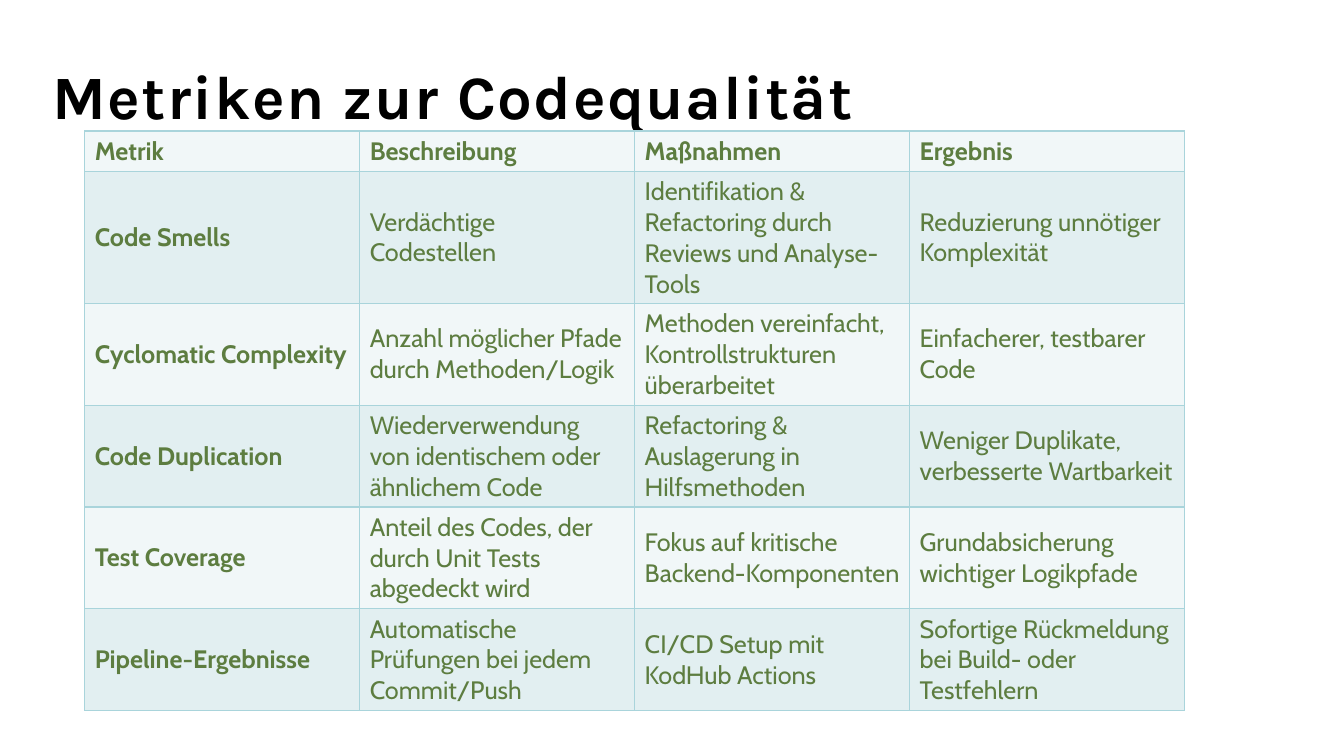
from lxml import etree
from pptx import Presentation
from pptx.dml.color import RGBColor
from pptx.enum.text import MSO_ANCHOR
from pptx.oxml.ns import qn
from pptx.util import Inches, Pt

MIDDLE = MSO_ANCHOR.MIDDLE
BOTTOM = MSO_ANCHOR.BOTTOM
GREEN = "5D7D40"
BORDER = "A9D4DB"
BANDS = ("F1F7F8", "E2EFF1")
HEIGHTS = (0.4, 1.31, 1.01, 1.01, 1.01, 1.01)
METRICS = (
    ("Metrik", "Beschreibung", "Maßnahmen", "Ergebnis"),
    ("Code Smells", "Verdächtige Codestellen",
     "Identifikation & Refactoring durch Reviews und Analyse-Tools",
     "Reduzierung unnötiger Komplexität"),
    ("Cyclomatic Complexity", "Anzahl möglicher Pfade durch Methoden/Logik",
     "Methoden vereinfacht, Kontrollstrukturen überarbeitet",
     "Einfacherer, testbarer Code"),
    ("Code Duplication", "Wiederverwendung von identischem oder ähnlichem Code",
     "Refactoring & Auslagerung in Hilfsmethoden",
     "Weniger Duplikate, verbesserte Wartbarkeit"),
    ("Test Coverage", "Anteil des Codes, der durch Unit Tests abgedeckt wird",
     "Fokus auf kritische Backend-Komponenten",
     "Grundabsicherung wichtiger Logikpfade"),
    ("Pipeline-Ergebnisse", "Automatische Prüfungen bei jedem Commit/Push",
     "CI/CD Setup mit KodHub Actions",
     "Sofortige Rückmeldung bei Build- oder Testfehlern"),
)


def color(code):
    """Turn a hex string into a colour."""
    return RGBColor.from_string(code)


def style(font, name, size, code, bold):
    """Set face, size, colour and weight of a font."""
    font.name = name
    font.size = Pt(size)
    font.color.rgb = color(code)
    font.bold = bold


def add_title(slide, text, left, top, width, height):
    """Place the spaced headline at the bottom of its box."""
    box = slide.shapes.add_textbox(
        Inches(left), Inches(top), Inches(width), Inches(height))
    frame = box.text_frame
    frame.word_wrap = True
    frame.vertical_anchor = BOTTOM
    frame.margin_left = frame.margin_right = 0
    frame.margin_top = frame.margin_bottom = 0
    line = frame.paragraphs[0]
    line.line_spacing = 0.8
    run = line.add_run()
    run.text = text
    style(run.font, "Karla", 44, "000000", True)
    run.font._element.set("spc", "100")


def add_border(cell):
    """Draw a thin line on all four sides of a cell."""
    props = cell._tc.get_or_add_tcPr()
    for index, side in enumerate(("a:lnL", "a:lnR", "a:lnT", "a:lnB")):
        line = etree.Element(qn(side), w=str(Pt(1)))
        fill = etree.SubElement(line, qn("a:solidFill"))
        etree.SubElement(fill, qn("a:srgbClr"), val=BORDER)
        props.insert(index, line)


def add_metrics(slide, left, top, width):
    """Place the banded table with equal columns."""
    count = len(METRICS[0])
    table = slide.shapes.add_table(
        len(METRICS), count, Inches(left), Inches(top),
        Inches(width), Inches(sum(HEIGHTS))).table
    for column in table.columns:
        column.width = Inches(width / count)
    for r, (texts, height) in enumerate(zip(METRICS, HEIGHTS)):
        table.rows[r].height = Inches(height)
        for c, text in enumerate(texts):
            cell = table.cell(r, c)
            cell.text = text
            cell.vertical_anchor = MIDDLE
            cell.fill.solid()
            cell.fill.fore_color.rgb = color(BANDS[r % 2])
            font = cell.text_frame.paragraphs[0].font
            style(font, "Cabin", 18, GREEN, r == 0 or c == 0)
            add_border(cell)


def main():
    """Build and save the slide."""
    deck = Presentation()
    deck.slide_width = Inches(13.33)
    deck.slide_height = Inches(7.5)
    slide = deck.slides.add_slide(deck.slide_layouts[6])
    add_title(slide, "Metriken zur Codequalität", 0.52, 0, 12, 1.3)
    add_metrics(slide, 0.84, 1.3, 10.91)
    deck.save("out.pptx")


if __name__ == "__main__":
    main()
